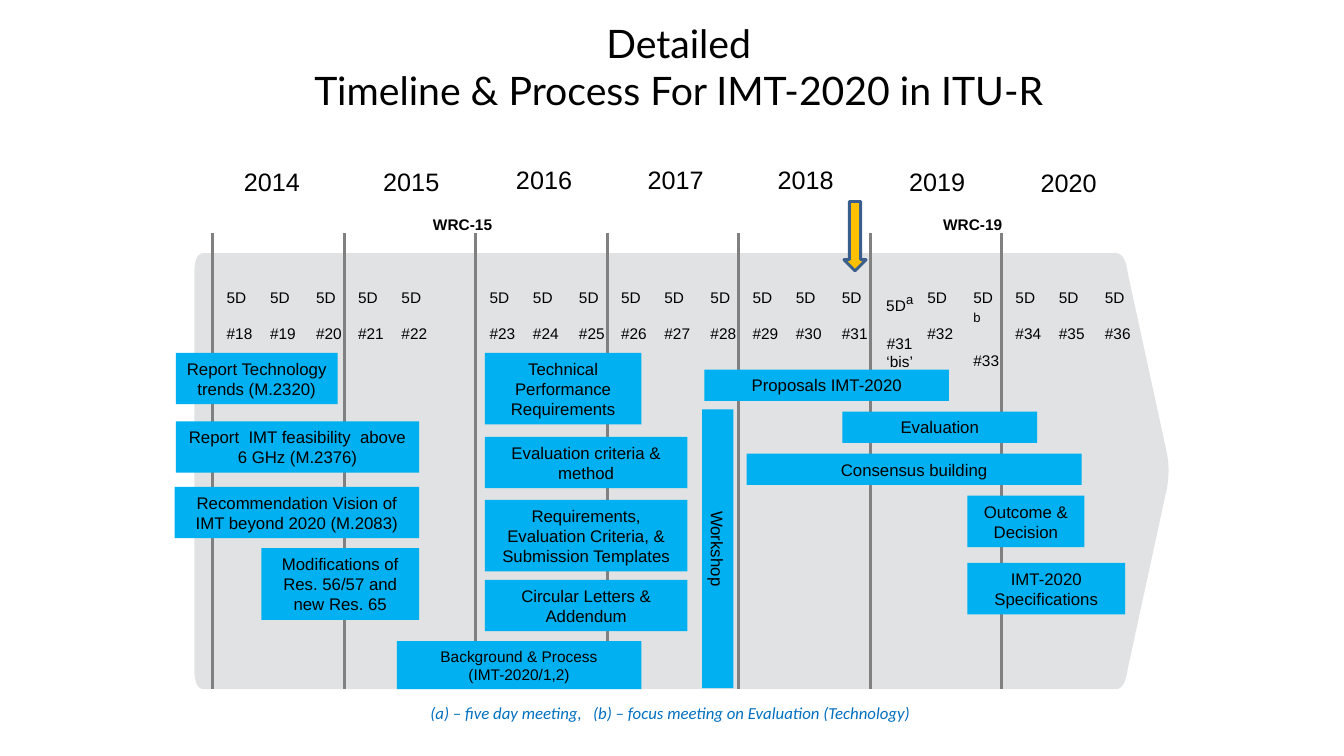
"""Build the IMT-2020 timeline slide."""
from lxml import etree
from pptx import Presentation
from pptx.dml.color import RGBColor
from pptx.enum.shapes import MSO_CONNECTOR, MSO_SHAPE
from pptx.enum.text import MSO_ANCHOR, MSO_AUTO_SIZE, PP_ALIGN
from pptx.oxml.ns import qn
from pptx.util import Inches, Pt

RECT, ARROW = MSO_SHAPE.RECTANGLE, MSO_SHAPE.DOWN_ARROW
LINE = MSO_CONNECTOR.STRAIGHT
MIDDLE = MSO_ANCHOR.MIDDLE
GROW, FIXED = MSO_AUTO_SIZE.SHAPE_TO_FIT_TEXT, MSO_AUTO_SIZE.NONE
LEFT, CENTER = PP_ALIGN.LEFT, PP_ALIGN.CENTER

BLACK = RGBColor(0x00, 0x00, 0x00)
GREY = RGBColor(0x80, 0x80, 0x80)
PALE = RGBColor(0xE1, 0xE2, 0xE3)
CYAN = RGBColor(0x00, 0xB0, 0xF0)
BLUE = RGBColor(0x00, 0x70, 0xC0)
NAVY = RGBColor(0x3A, 0x5F, 0x8C)
GOLD = RGBColor(0xFF, 0xC0, 0x00)

COL, ROW = 1.304, 0.417
ORIGIN_X, ORIGIN_Y = 2.11, 3.5
FLOOR = 8

YEARS = [(-0.1, -4.56), (0.96, -4.56), (1.97, -4.6), (2.97, -4.6),
         (3.96, -4.6), (4.96, -4.56), (5.96, -4.53)]
SLOTS = (0.03, 0.36, 0.71)
MEETINGS = [("#18", "#19", "#20"), ("#21", "#22"), ("#23", "#24", "#25"),
            ("#26", "#27", "#28"), ("#29", "#30", "#31"),
            ("", "#32", "#33"), ("#34", "#35", "#36")]
NOTES = {"#33": "b"}

TASKS = [
    (-0.29, 3.19, 1.86, 2, "Recommendation Vision of IMT beyond 2020 (M.2083)"),
    (-0.28, 1.63, 1.85, 2, "Report  IMT feasibility  above 6 GHz (M.2376)"),
    (2.07, 5.4, 1.54, 2, "Circular Letters & Addendum"),
    (2.07, 0, 1.19, 3, "Technical Performance Requirements"),
    (0.37, 4.65, 1.2, 3, "Modifications of Res. 56/57 and new Res. 65"),
    (2.07, 2, 1.54, 2, "Evaluation criteria & method"),
    (3.74, 0.4, 1.86, 1, "Proposals IMT-2020"),
    (4.79, 1.4, 1.48, 1, "Evaluation"),
    (4.06, 2.4, 2.55, 1, "Consensus building"),
    (5.74, 3.4, 0.89, 2, "Outcome & Decision"),
    (5.74, 5, 1.2, 2, "IMT-2020 Specifications"),
    (2.07, 3.5, 1.54, 3,
     "Requirements, Evaluation Criteria, & Submission Templates"),
    (-0.28, 0, 1.23, 2, "Report Technology trends (M.2320)"),
]

BENDS = [((6.96, -1.89), (6.94, -2.37), (6.87, -2.37)),
         ((-0.07, -2.37), (-0.14, -2.37), (-0.14, -1.89)),
         ((-0.14, 7.51), (-0.14, FLOOR), (-0.07, FLOOR)),
         ((6.87, FLOOR), (6.94, FLOOR), (6.96, 7.51)),
         ((7.25, 3.33), (7.29, 2.8), (7.25, 2.28))]


def x(col):
    """Return the place of a column."""
    return Inches(ORIGIN_X + col * COL)


def y(row):
    """Return the place of a row."""
    return Inches(ORIGIN_Y + row * ROW)


def style(para, size, color=BLACK, face="Arial", align=CENTER):
    """Format a whole paragraph."""
    para.alignment = align
    font = para.font
    font.name, font.size = face, Pt(size)
    font.color.rgb = color
    return font


def paint(shape, fill):
    """Give a shape a flat fill with no line."""
    shape.shadow.inherit = False
    shape.fill.solid()
    shape.fill.fore_color.rgb = fill
    shape.line.fill.background()


def label(slide, col, row, wide, high, text, size,
          color=BLACK, face="Arial", align=CENTER, wrap=True):
    """Add a text box and return its frame."""
    box = slide.shapes.add_textbox(x(col), y(row), Inches(wide * COL),
                                   Inches(high * ROW))
    frame = box.text_frame
    frame.word_wrap, frame.auto_size = wrap, GROW
    frame.text = text
    for para in frame.paragraphs:
        style(para, size, color, face, align)
    return frame


def meeting(slide, col, row, wide, text, note="", align=LEFT, wrap=False):
    """Add a meeting label, with a raised note mark if any."""
    frame = label(slide, col, row, wide, 1.58, "5D\n" + text, 11,
                  align=align, wrap=wrap)
    first, second = frame.paragraphs[:2]
    second.space_before = Pt(12.6)
    if note:
        mark = first.add_run()
        mark.text = note
        mark.font.size = Pt(16)
        mark.font.name = "Arial"
        mark.font.color.rgb = BLACK
        mark._r.get_or_add_rPr().set("baseline", "30000")


def task(slide, col, row, wide, lines, text, size=12):
    """Add a task bar as high as its lines of text."""
    bar = slide.shapes.add_shape(RECT, x(col), y(row), Inches(wide * COL),
                                 Inches(0.11 + lines * size / 60))
    paint(bar, CYAN)
    frame = bar.text_frame
    frame.word_wrap, frame.vertical_anchor = True, MIDDLE
    frame.text = text
    for para in frame.paragraphs:
        style(para, size)
    return bar


def rule(slide, col):
    """Add the line at the start of a year."""
    line = slide.shapes.add_connector(LINE, x(col), y(-2.84), x(col), y(FLOOR))
    line.line.color.rgb = GREY
    line.line.width = Pt(2.25)
    etree.SubElement(line._element.spPr, qn("a:effectLst"))


def bend(start, pull, end, steps=8):
    """Return points along a rounded corner."""
    points = []
    for step in range(steps + 1):
        t = step / steps
        col, row = ((1 - t) ** 2 * a + 2 * t * (1 - t) * b + t * t * c
                    for a, b, c in zip(start, pull, end))
        points.append((x(col), y(row)))
    return points


def band(slide):
    """Add the large pointed band."""
    points = [point for corner in BENDS for point in bend(*corner)]
    build = slide.shapes.build_freeform(*points[0])
    build.add_line_segments(points[1:], close=True)
    paint(build.convert_to_shape(), PALE)


def heading(slide, deck):
    """Place and format the title."""
    title = slide.shapes.title
    title.left, title.top = int(deck.slide_width * 0.16), int(deck.slide_height * 0.008)
    title.width, title.height = int(deck.slide_width * 0.69), int(deck.slide_height * 0.16)
    frame = title.text_frame
    frame.auto_size, frame.vertical_anchor = FIXED, MIDDLE
    para = frame.paragraphs[0]
    para.add_run().text = "Detailed"
    para.add_line_break()
    para.add_run().text = "Timeline & Process For IMT-2020 in ITU-R"
    style(para, 28, face="Lato")


def main():
    """Build and save the slide."""
    deck = Presentation()
    deck.slide_width, deck.slide_height = Inches(13.33), Inches(7.5)
    slide = deck.slides.add_slide(deck.slide_layouts[5])
    heading(slide, deck)
    band(slide)
    for year, (col, row) in enumerate(YEARS):
        label(slide, col, row, 1.1, 0.98, str(2014 + year), 18)
        for slot, text in zip(SLOTS, MEETINGS[year]):
            if text:
                meeting(slide, year + slot, -1.65, 0.35, text, NOTES.get(text, ""))
        rule(slide, year)
    for col, text in ((1.6, "WRC-15"), (5.48, "WRC-19")):
        frame = label(slide, col, -3.4, 0.61, 0.7, text, 11, align=LEFT, wrap=False)
        frame.paragraphs[0].font.bold = True
    for item in TASKS:
        task(slide, *item)
    task(slide, 2.78, 4.29, 2.12, 1, "Workshop").rotation = 90
    task(slide, 1.4, 6.86, 1.86, 2, "Background & Process\n(IMT-2020/1,2)", 11)
    meeting(slide, 4.9, -1.63, 0.65, "#31\n‘bis’", "a", CENTER, True)
    foot = label(slide, 1.58, 8.2, 3.87, 0.72,
                 "(a) – five day meeting,   (b) – focus meeting on Evaluation (Technology)",
                 12, BLUE, "Calibri", LEFT)
    foot.paragraphs[0].font.italic = True
    arrow = slide.shapes.add_shape(ARROW, x(4.8), y(-3.6), Inches(0.17 * COL),
                                   Inches(1.65 * ROW))
    paint(arrow, GOLD)
    arrow.line.color.rgb = NAVY
    arrow.line.width = Pt(2)
    deck.save("out.pptx")


if __name__ == "__main__":
    main()
